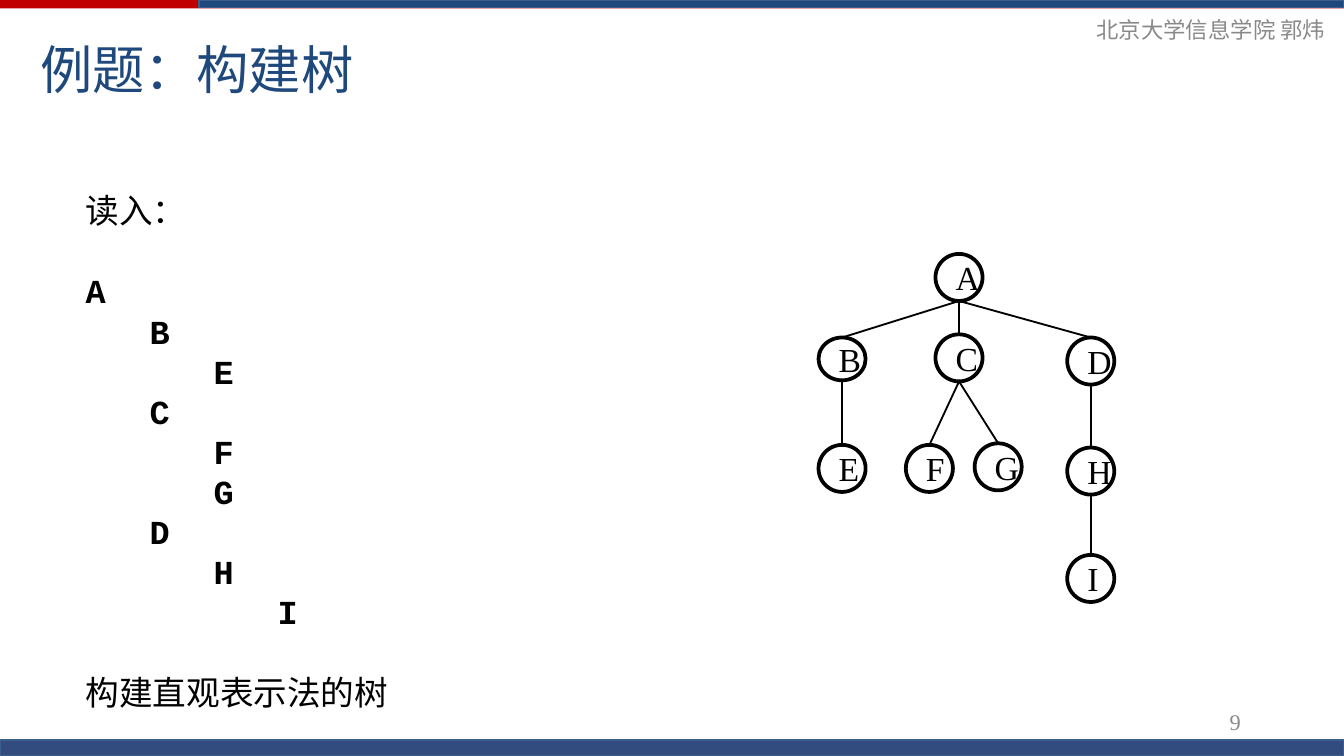
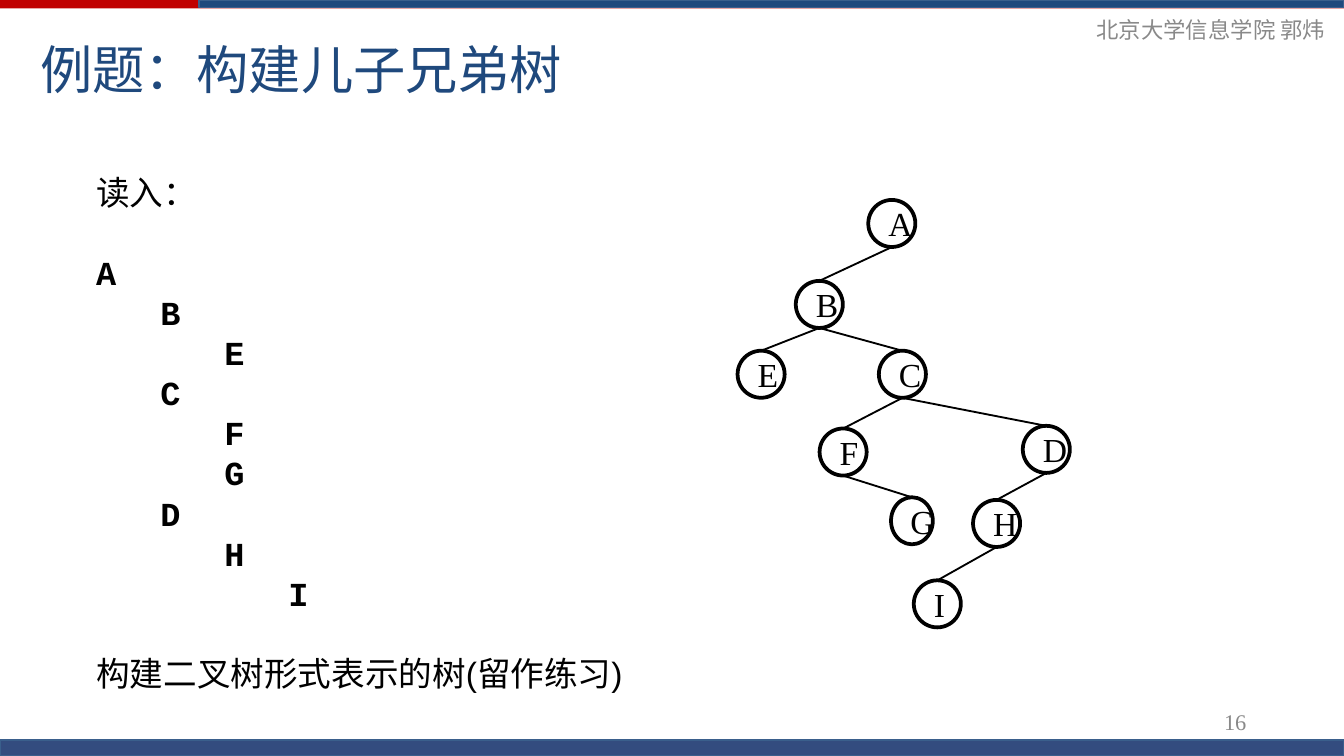
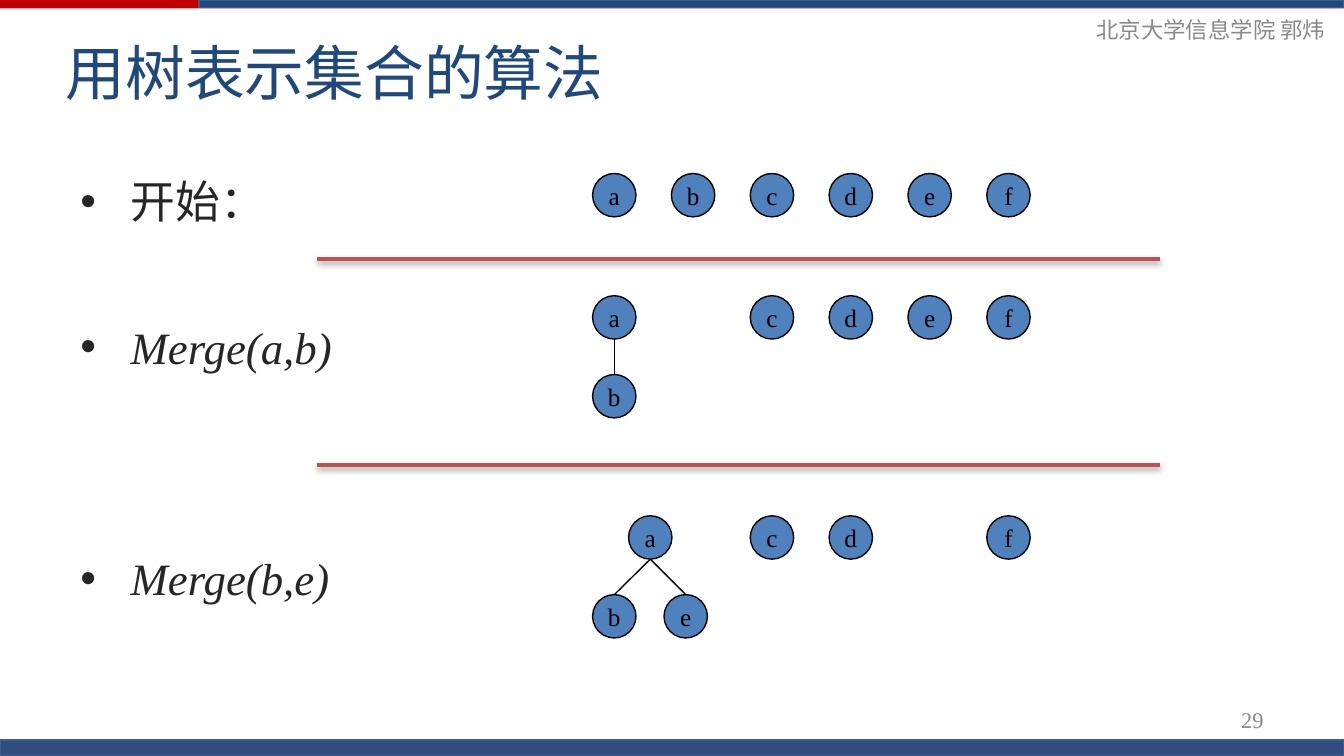
import pptx
import pptx.dml.color
import pptx.enum.shapes
import pptx.enum.text
import pptx.oxml
import pptx.oxml.ns
import pptx.util
from lxml import etree

Cm = pptx.util.Cm
Pt = pptx.util.Pt
ALIGN = pptx.enum.text.PP_ALIGN
ANCHOR = pptx.enum.text.MSO_ANCHOR
SHAPE = pptx.enum.shapes.MSO_SHAPE
LINK = pptx.enum.shapes.MSO_CONNECTOR
qn = pptx.oxml.ns.qn

COLORS = {
    "navy": "1F497D", "red": "C00000", "edge": "3A5F8C", "deep": "002060",
    "gray": "898989", "black": "000000", "dark": "262626",
    "blue": "4F81BD", "rule": "C0504D",
}
SERIF = "Times New Roman"
SANS = "Arial"
MONO = "Courier New"
OUTLINE = [(0, "A"), (1, "B"), (2, "E"), (1, "C"), (2, "F"),
           (2, "G"), (1, "D"), (2, "H"), (3, "I")]
PITCH = 21.5
NODE = 0.89
DOT = 0.82
STEP = 1.49


def tint(name):
    return pptx.dml.color.RGBColor.from_string(COLORS[name])


def style(para, size, face, color, bold=False, slant=False):
    font = para.font
    font.size = Pt(size)
    font.name = face
    font.bold = bold
    font.italic = slant
    font.color.rgb = tint(color)


def frame(slide, x, y, w, h, anchor=ANCHOR.TOP):
    box = slide.shapes.add_textbox(Cm(x), Cm(y), Cm(w), Cm(h)).text_frame
    box.word_wrap = True
    box.vertical_anchor = anchor
    return box


def label(slide, text, at, size, face, color, align=ALIGN.LEFT):
    para = frame(slide, *at, anchor=ANCHOR.MIDDLE).paragraphs[0]
    para.text = text
    para.alignment = align
    style(para, size, face, color)


def band(slide, x, y, w, h, fill, edge=None, alpha=None):
    bar = slide.shapes.add_shape(SHAPE.RECTANGLE, Cm(x), Cm(y), Cm(w), Cm(h))
    bar.shadow.inherit = False
    bar.fill.solid()
    bar.fill.fore_color.rgb = tint(fill)
    if edge:
        bar.line.color.rgb = tint(edge)
        bar.line.width = Pt(0)
    else:
        bar.line.fill.background()
    if alpha:
        color = bar.fill._xPr.find(qn("a:solidFill"))[0]
        etree.SubElement(color, qn("a:alpha"), val=str(alpha * 1000))


def circle(slide, text, x, y, w, h, size, weight, fill=None):
    ring = slide.shapes.add_shape(SHAPE.OVAL, Cm(x), Cm(y), Cm(w), Cm(h))
    ring.shadow.inherit = False
    ring.line.color.rgb = tint("black")
    ring.line.width = Pt(weight)
    box = ring.text_frame
    box.word_wrap = True
    box.vertical_anchor = ANCHOR.MIDDLE
    if fill:
        ring.fill.solid()
        ring.fill.fore_color.rgb = tint(fill)
        box.vertical_anchor = ANCHOR.TOP
        box.margin_left = box.margin_right = 0
        box.margin_top = box.margin_bottom = 0
    else:
        ring.fill.background()
    para = box.paragraphs[0]
    para.text = text
    para.alignment = ALIGN.CENTER
    style(para, size, SERIF, "black")


def line(slide, start, end, color, weight):
    stroke = slide.shapes.add_connector(
        LINK.STRAIGHT, Cm(start[0]), Cm(start[1]), Cm(end[0]), Cm(end[1]))
    stroke.line.color.rgb = tint(color)
    stroke.line.width = Pt(weight)
    return etree.SubElement(stroke._element.spPr, qn("a:effectLst"))


def rule(slide, y):
    effect = line(slide, (5.99, y), (21.92, y), "rule", 2)
    shade = etree.SubElement(effect, qn("a:outerShdw"), blurRad="40000",
                             dist="20000", dir="5400000", rotWithShape="0")
    color = etree.SubElement(shade, qn("a:srgbClr"), val=COLORS["black"])
    etree.SubElement(color, qn("a:alpha"), val="38000")


def tree(slide, nodes, links, side, size, weight, fill=None):
    spots = {}
    for name, (x, y, *dims) in nodes.items():
        w, h = dims or (side, side)
        spots[name] = (x + w / 2, y, y + h)
        circle(slide, name, x, y, w, h, size, weight, fill)
    for top, child in links:
        x, _, low = spots[top]
        line(slide, (x, low), spots[child][:2], "black", min(weight, 1))


def listing(slide, x, y, goal):
    box = frame(slide, x, y, 12.7, 10.26)
    box.margin_top = Cm(0.35)
    rows = [(0, "读入："), *OUTLINE, (0, goal)]
    for i, (level, text) in enumerate(rows):
        para = box.paragraphs[0] if i == 0 else box.add_paragraph()
        para.text = text
        para.line_spacing = Pt(PITCH)
        code = 0 < i < len(rows) - 1
        style(para, 18, MONO if code else SANS, "black", bold=code)
        if i in (1, len(rows) - 1):
            para.space_before = Pt(PITCH)
        para._p.get_or_add_pPr().set("marL", str(Cm(1.21 * level)))


def bullets(slide, items):
    box = frame(slide, 1.27, 3.12, 22.86, 9.63)
    for i, (text, gap, slant) in enumerate(items):
        para = box.paragraphs[0] if i == 0 else box.add_paragraph()
        para.text = text
        para.line_spacing = Pt(30)
        para.space_before = Pt(gap)
        style(para, 24, SERIF, "dark", slant=slant)
        props = para._p.get_or_add_pPr()
        props.set("marL", str(Cm(0.95)))
        props.set("indent", str(Cm(-0.95)))
        etree.SubElement(props, qn("a:buFont"), typeface=SANS)
        etree.SubElement(props, qn("a:buChar"), char="•")
        props.append(props.find(qn("a:defRPr")))


def page(deck, title, at, size, number, spot, align):
    slide = deck.slides.add_slide(deck.slide_layouts[6])
    band(slide, 0, 0, 25.4, 0.16, "red")
    band(slide, 3.76, 0, 21.64, 0.14, "navy", "edge")
    band(slide, 0, 13.99, 25.4, 0.3, "deep", "edge", 80)
    label(slide, "北京大学信息学院 郭炜", (19.38, 0.18, 5.92, 0.76),
          12, SERIF, "gray", ALIGN.RIGHT)
    label(slide, title, at, size, SANS, "navy")
    label(slide, number, spot, 12, SERIF, "gray", align)
    return slide


def build(deck, title, number, corner, goal, nodes, links):
    slide = page(deck, title, (0.51, 0.36, 22.86, 1.88), 28,
                 number, (22.28, 13.26, 2.13, 0.76), ALIGN.CENTER)
    listing(slide, *corner, goal)
    tree(slide, nodes, links.split(), NODE, 18, 2)


def sets(deck):
    slide = page(deck, "用树表示集合的算法", (0.99, 0.25, 23.22, 2.21), 32,
                 "29", (18.21, 13.23, 5.92, 0.76), ALIGN.RIGHT)
    bullets(slide, [("开始：", 0, False), ("Merge(a,b)", 48, True),
                    ("Merge(b,e)", 94, True)])
    cols = {name: 11.2 + STEP * i for i, name in enumerate("abcdef")}
    stages = [
        (3.28, {}, []),
        (5.59, {"b": (11.2, 1)}, ["ab"]),
        (9.75, {"a": (11.88, 0), "b": (11.2, 1), "e": (12.55, 1)},
         ["ab", "ae"]),
    ]
    for y, moved, links in stages:
        nodes = {}
        for name, col in cols.items():
            x, depth = moved.get(name, (col, 0))
            nodes[name] = (x, y + STEP * depth)
        tree(slide, nodes, links, DOT, 13.5, 0.75, "blue")
    for y in (4.9, 8.79):
        rule(slide, y)


def main():
    deck = pptx.Presentation()
    deck.slide_width = Cm(25.4)
    deck.slide_height = Cm(14.29)
    build(deck, "例题：构建树", "9", (1.37, 3.25), "构建直观表示法的树", {
        "A": (17.68, 4.8), "B": (15.47, 6.38, NODE, 0.81),
        "C": (17.68, 6.32), "D": (20.17, 6.38), "E": (15.47, 8.41),
        "F": (17.12, 8.41), "G": (18.42, 8.38), "H": (20.17, 8.46),
        "I": (20.17, 10.49),
    }, "AB AC AD BE CF CG DH HI")
    build(deck, "例题：构建儿子兄弟树", "16", (1.57, 2.9),
          "构建二叉树形式表示的树(留作练习)", {
        "A": (16.41, 3.78), "B": (15.04, 5.31), "C": (16.61, 6.63),
        "D": (19.33, 8.05), "E": (13.94, 6.63), "F": (15.49, 8.1),
        "G": (16.84, 9.4, 0.79, NODE), "H": (18.39, 9.45),
        "I": (17.27, 10.97),
    }, "AB BE BC CF CD FG DH HI")
    sets(deck)
    deck.save("out.pptx")


if __name__ == "__main__":
    main()
